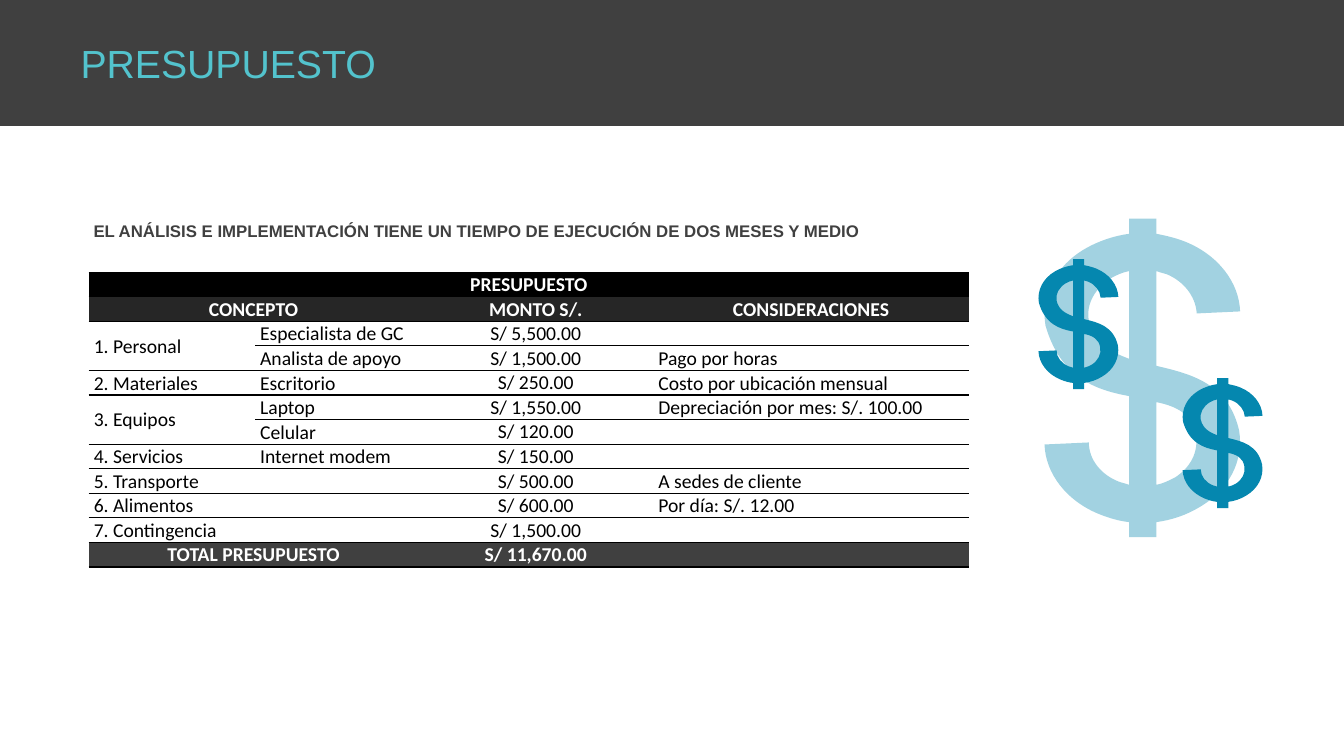
"""Builds the budget slide with its table and dollar signs."""
from lxml.etree import SubElement
from pptx import Presentation
from pptx.dml.color import RGBColor as RGB
from pptx.enum.shapes import MSO_SHAPE as Shape
from pptx.enum.text import MSO_ANCHOR as Anchor, MSO_AUTO_SIZE as Fit, PP_ALIGN as Align
from pptx.oxml.ns import qn
from pptx.util import Inches, Pt

HUES = {"dark": "404040", "aqua": "53C3CD", "blue": "0587AF",
        "black": "000000", "coal": "262626", "white": "FFFFFF"}

COLS = [1.65, 1.62, 2.33, 3.13]
ROWS = [
    ["PRESUPUESTO", "", "", ""],
    ["CONCEPTO", "", "MONTO S/.", "CONSIDERACIONES"],
    ["1. Personal", "Especialista de GC", "S/ 5,500.00", ""],
    ["", "Analista de apoyo", "S/ 1,500.00", "Pago por horas"],
    ["2. Materiales", "Escritorio", "S/ 250.00", "Costo por ubicación mensual"],
    ["3. Equipos", "Laptop", "S/ 1,550.00", "Depreciación por mes: S/. 100.00"],
    ["", "Celular", "S/ 120.00", ""],
    ["4. Servicios", "Internet modem", "S/ 150.00", ""],
    ["5. Transporte", "", "S/ 500.00", "A sedes de cliente"],
    ["6. Alimentos", "", "S/ 600.00", "Por día: S/. 12.00"],
    ["7. Contingencia", "", "S/ 1,500.00", ""],
    ["TOTAL PRESUPUESTO", "", "S/ 11,670.00", ""],
]
BANDS = {0: "black", 1: "coal", 11: "dark"}
SPANS = [(0, 0, 0, 3), (1, 0, 1, 1), (2, 0, 3, 0), (5, 0, 6, 0), (11, 0, 11, 1)]

DOLLAR = [
    [(111, 182), (111, 264), (117, 263, 123, 260, 129, 257),
     (145, 247, 153, 231, 150, 215), (147, 194, 131, 186, 111, 182)],
    [(84, 52), (78, 53, 71, 56, 66, 59), (50, 69, 41, 85, 44, 101),
     (49, 123, 65, 132, 84, 139)],
    [(84, 0), (111, 0), (111, 15), (121, 17, 130, 19, 140, 23),
     (172, 36, 193, 63, 194, 92), (151, 94), (150, 77, 138, 62, 121, 55),
     (117, 54, 114, 53, 111, 52), (111, 146), (145, 154, 182, 163, 193, 210),
     (198, 240, 183, 269, 154, 286), (141, 294, 126, 299, 111, 301),
     (111, 316), (84, 316), (84, 301), (74, 300, 64, 297, 54, 293),
     (22, 280, 1, 253, 0, 224), (44, 222), (44, 239, 56, 254, 74, 261),
     (77, 262, 81, 263, 84, 264), (84, 176), (51, 170, 16, 158, 1, 106),
     (-4, 76, 11, 47, 40, 30), (54, 22, 69, 17, 84, 15)],
]


def write(frame, text, size=14, font="Calibri", hue="black", bold=False, align=Align.LEFT):
    par = frame.paragraphs[0]
    par.alignment = align
    if not text:
        SubElement(par._p, qn("a:endParaRPr"), sz=str(size * 100))
        return
    run = par.add_run()
    run.text = text
    run.font.size, run.font.name, run.font.bold = Pt(size), font, bold
    run.font.color.rgb = RGB.from_string(HUES[hue])


def bend(shape):
    lines = list(shape._element.iter(qn("a:lnTo")))
    steps = [step for part in DOLLAR for step in part[1:]]
    for line, step in zip(lines, steps):
        if len(step) == 6:
            curve = line.makeelement(qn("a:cubicBezTo"))
            for x, y in zip(step[::2], step[1::2]):
                SubElement(curve, qn("a:pt"), x=str(x), y=str(y))
            line.getparent().replace(line, curve)


class Deck:
    def __init__(self):
        self.prs = Presentation()
        self.prs.slide_width, self.prs.slide_height = Inches(13.33), Inches(7.5)
        self.slide = self.prs.slides.add_slide(self.prs.slide_layouts[6])
        self.shapes = self.slide.shapes

    def paint(self, shape, hue):
        shape.shadow.inherit = False
        shape.fill.solid()
        shape.fill.fore_color.rgb = RGB.from_string(HUES[hue])
        shape.line.fill.background()

    def band(self, box, hue):
        self.paint(self.shapes.add_shape(Shape.RECTANGLE, *map(Inches, box)), hue)

    def label(self, box, text, **style):
        frame = self.shapes.add_textbox(*map(Inches, box)).text_frame
        frame.word_wrap = True
        frame.auto_size = Fit.SHAPE_TO_FIT_TEXT
        write(frame, text, font="Arial", **style)

    def dollar(self, left, top, tall, alpha=100):
        pen = self.shapes.build_freeform(*DOLLAR[0][0], scale=Inches(tall) / 316)
        for part in DOLLAR:
            if part is not DOLLAR[0]:
                pen.move_to(*part[0])
            pen.add_line_segments([step[-2:] for step in part[1:]], close=True)
        shape = pen.convert_to_shape(Inches(left), Inches(top))
        bend(shape)
        self.paint(shape, "blue")
        if alpha < 100:
            tint = shape._element.spPr.find(qn("a:solidFill"))[0]
            SubElement(tint, qn("a:alpha"), val=str(alpha * 1000))

    def edge(self, cell):
        props = cell._tc.get_or_add_tcPr()
        for side in ("lnL", "lnR"):
            SubElement(SubElement(props, qn("a:" + side), w="0"), qn("a:noFill"))
        for side in ("lnT", "lnB"):
            line = SubElement(props, qn("a:" + side), w=str(Pt(1)))
            fill = SubElement(line, qn("a:solidFill"))
            SubElement(fill, qn("a:srgbClr"), val=HUES["black"])

    def grid(self, box, high):
        table = self.shapes.add_table(len(ROWS), len(COLS), *map(Inches, box)).table
        table.first_row = table.horz_banding = False
        for col, wide in zip(table.columns, COLS):
            col.width = Inches(wide)
        for r, row in enumerate(ROWS):
            table.rows[r].height = Inches(high)
            hue = BANDS.get(r)
            for c, text in enumerate(row):
                cell = table.cell(r, c)
                cell.margin_left = cell.margin_right = Inches(0.05)
                cell.margin_top = Inches(0 if c == 2 and r > 1 else 0.01)
                cell.margin_bottom = 0
                cell.vertical_anchor = Anchor.BOTTOM
                self.edge(cell)
                if hue:
                    cell.fill.solid()
                    cell.fill.fore_color.rgb = RGB.from_string(HUES[hue])
                else:
                    cell.fill.background()
                write(cell.text_frame, text, bold=bool(hue), hue="white" if hue else "black",
                      align=Align.CENTER if hue or c == 2 else Align.LEFT)
        for r, c, last, end in SPANS:
            table.cell(r, c).merge(table.cell(last, end))
            if last > r:
                table.cell(r, c).vertical_anchor = Anchor.MIDDLE


def main():
    deck = Deck()
    deck.dollar(10.36, 2.17, 3.16, alpha=37)
    deck.band((0, 0, 13.33, 1.25), "dark")
    deck.label((0.7, 0.34, 12.21, 0.57), "PRESUPUESTO", size=28, hue="aqua")
    deck.grid((0.88, 2.7, 8.73, 2.92), 0.21)
    deck.dollar(11.73, 3.75, 1.29)
    deck.label((0.83, 2.14, 9.04, 0.3),
               "EL ANÁLISIS E IMPLEMENTACIÓN TIENE UN TIEMPO DE EJECUCIÓN DE DOS MESES Y MEDIO",
               size=12, hue="dark", bold=True)
    deck.dollar(10.3, 2.57, 1.29)
    deck.prs.save("out.pptx")


if __name__ == "__main__":
    main()
